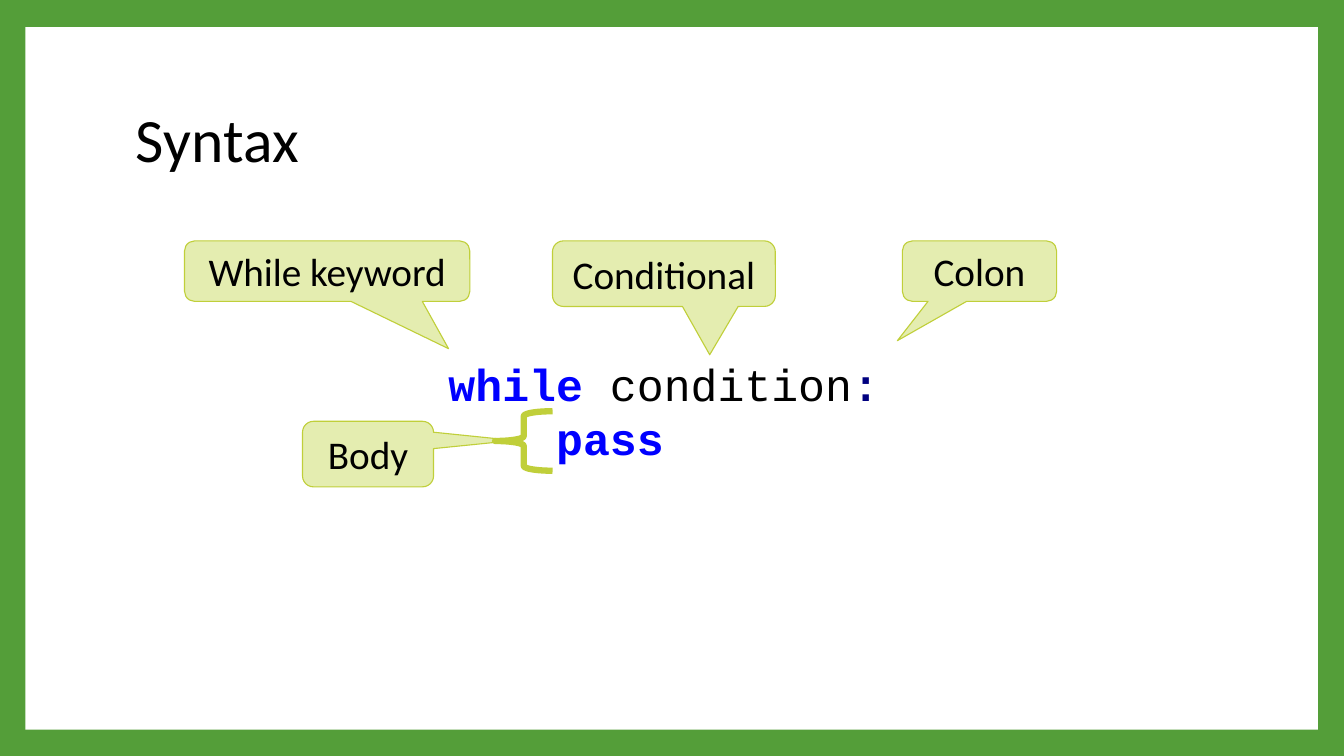
import pptx
import pptx.util
import pptx.dml.color
import pptx.enum.shapes
import pptx.enum.text
from dataclasses import dataclass


@dataclass(frozen=True)
class Theme:
    green: str = "549E39"
    white: str = "FFFFFF"
    black: str = "000000"
    lime: str = "C0CF3A"
    pale: str = "E4EDB0"
    blue: str = "0000FF"
    navy: str = "000080"
    sans: str = "Calibri"
    mono: str = "Courier New"
    head: int = 44
    code: int = 32
    note: int = 28
    thin: float = 0.79
    thick: float = 4.5


THEME = Theme()
WIDE, HIGH = 13.33, 7.5

# Boxes are left, top, width, height in percent of the slide; tips are x, y.
FRAME = (1.88, 3.6, 96.17, 92.93)
TITLE = ("Syntax", (9.38, 8.93, 81.02, 19.73))
CODE_BOX = (32.63, 46.53, 34.43, 15.73)
CODE = [
    [("while", THEME.blue, True), (" condition", THEME.black, False),
     (":", THEME.navy, True)],
    [("    ", THEME.black, False), ("pass", THEME.blue, True)],
]
NOTES = [
    ("While keyword", (13.73, 31.87, 21.23, 8), (33.38, 46.13)),
    ("Colon", (67.14, 31.87, 11.48, 8), (66.77, 45.07)),
    ("Conditional", (41.11, 31.87, 16.58, 8.67), (52.81, 46.93)),
    ("Body", (22.51, 55.73, 9.75, 8.67), (38.26, 58.27)),
]
BRACE = (36.83, 54.4, 4.28, 7.87)

KIND = pptx.enum.shapes.MSO_SHAPE
ALIGN = pptx.enum.text.PP_ALIGN
ANCHOR = pptx.enum.text.MSO_ANCHOR


def color(code):
    return pptx.dml.color.RGBColor.from_string(code)


def place(box):
    """Turn percent shares into slide lengths."""
    return [pptx.util.Inches(share * side / 100)
            for share, side in zip(box, (WIDE, HIGH) * 2)]


def write(shape, lines, font, size, align=ALIGN.LEFT, anchor=ANCHOR.TOP,
          space=None):
    """Fill a shape with lines of (text, color, bold) runs."""
    frame = shape.text_frame
    frame.word_wrap = True
    frame.vertical_anchor = anchor
    for row, line in enumerate(lines):
        para = frame.add_paragraph() if row else frame.paragraphs[0]
        para.alignment = align
        if space:
            para.line_spacing = space
        for text, tint, bold in line:
            run = para.add_run()
            run.text = text
            run.font.name = font
            run.font.size = pptx.util.Pt(size)
            run.font.bold = bold
            run.font.color.rgb = color(tint)


def draw(slide, kind, box, fill=None, line=None, width=THEME.thin):
    shape = slide.shapes.add_shape(kind, *place(box))
    shape.shadow.inherit = False
    if fill:
        shape.fill.solid()
        shape.fill.fore_color.rgb = color(fill)
    else:
        shape.fill.background()
    if line:
        shape.line.color.rgb = color(line)
        shape.line.width = pptx.util.Pt(width)
    else:
        shape.line.fill.background()
    return shape


def add_note(slide, text, box, tip):
    """Draw a callout whose tail ends at the tip."""
    shape = draw(slide, KIND.ROUNDED_RECTANGULAR_CALLOUT, box,
                 THEME.pale, THEME.lime)
    left, top, wide, high = box
    shape.adjustments[0] = (tip[0] - left) / wide - 0.5
    shape.adjustments[1] = (tip[1] - top) / high - 0.5
    write(shape, [[(text, THEME.black, False)]], THEME.sans, THEME.note,
          align=ALIGN.CENTER, anchor=ANCHOR.MIDDLE)


def main():
    deck = pptx.Presentation()
    deck.slide_width = pptx.util.Inches(WIDE)
    deck.slide_height = pptx.util.Inches(HIGH)
    slide = deck.slides.add_slide(deck.slide_layouts[6])
    slide.background.fill.solid()
    slide.background.fill.fore_color.rgb = color(THEME.green)

    draw(slide, KIND.RECTANGLE, FRAME, THEME.white)
    text, box = TITLE
    write(slide.shapes.add_textbox(*place(box)),
          [[(text, THEME.black, False)]], THEME.sans, THEME.head,
          anchor=ANCHOR.MIDDLE, space=0.9)
    write(slide.shapes.add_textbox(*place(CODE_BOX)), CODE,
          THEME.mono, THEME.code)
    for note in NOTES:
        add_note(slide, *note)
    draw(slide, KIND.LEFT_BRACE, BRACE, line=THEME.lime, width=THEME.thick)
    deck.save("out.pptx")


if __name__ == "__main__":
    main()
